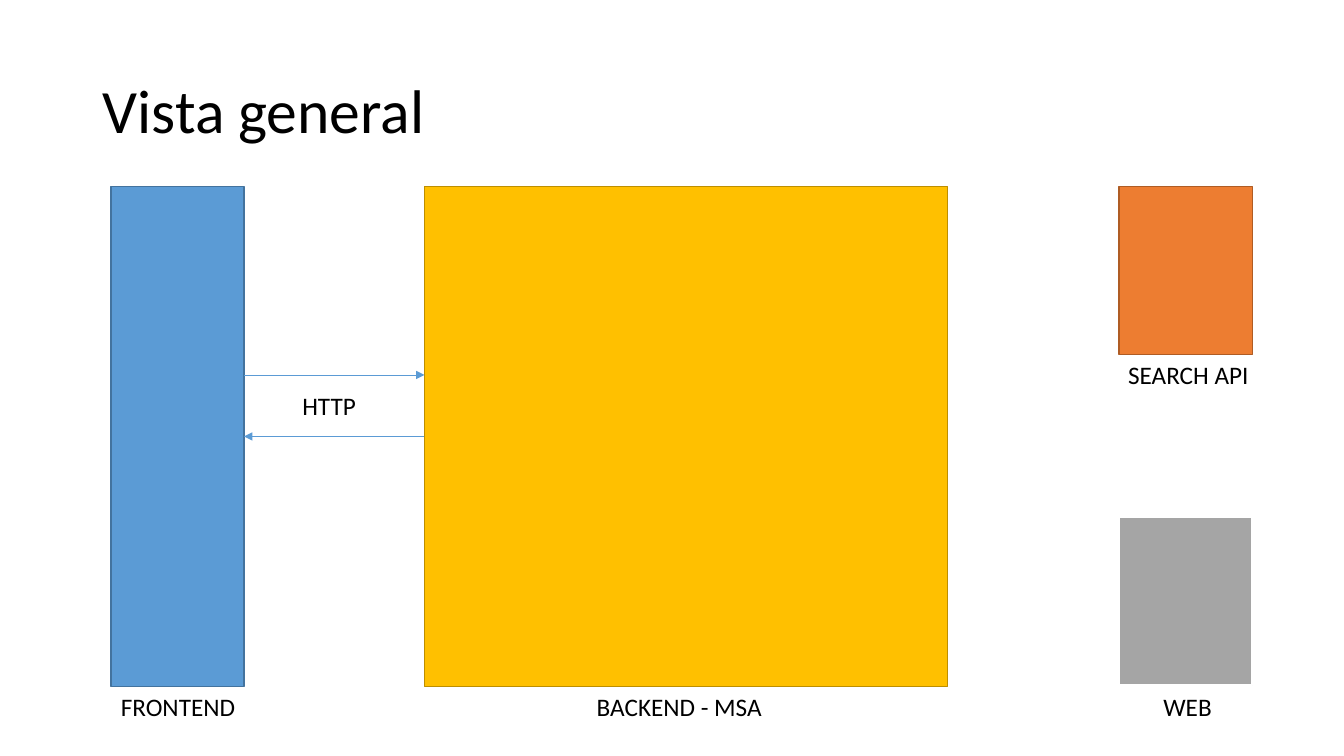
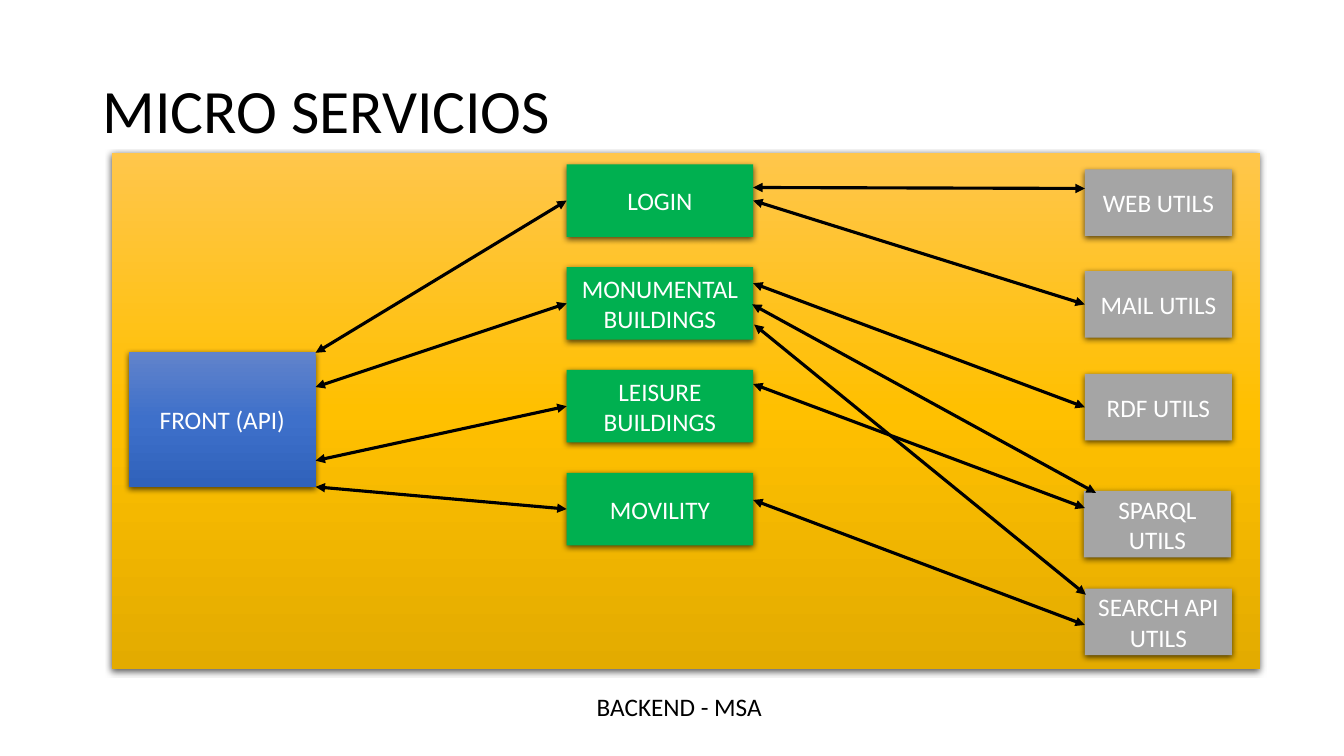
from copy import deepcopy

from lxml import etree
from pptx import Presentation
from pptx.dml.color import RGBColor
from pptx.enum import shapes, text
from pptx.oxml.ns import qn
from pptx.util import Inches, Pt

FONT = "Calibri"
BLACK = RGBColor(0x00, 0x00, 0x00)
WHITE = RGBColor(0xFF, 0xFF, 0xFF)
BLUE = RGBColor(0x5B, 0x9B, 0xD5)
DARK_BLUE = RGBColor(0x43, 0x73, 0x9E)
GOLD = RGBColor(0xFF, 0xC0, 0x00)
DARK_GOLD = RGBColor(0xBD, 0x8E, 0x00)
ORANGE = RGBColor(0xED, 0x7D, 0x31)
DARK_ORANGE = RGBColor(0xAF, 0x5C, 0x24)
GRAY = RGBColor(0xA5, 0xA5, 0xA5)
GREEN = RGBColor(0x00, 0xB0, 0x50)
GOLD_FADE = (RGBColor(0xFF, 0xC6, 0x4B), GOLD, RGBColor(0xE3, 0xAB, 0x00))
BLUE_FADE = (RGBColor(0x61, 0x83, 0xCB), RGBColor(0x3E, 0x70, 0xCA),
             RGBColor(0x30, 0x62, 0xBB))


def write(shape, content, size, color):
    """Fill a shape with one paragraph of styled text."""
    shape.text_frame.word_wrap = True
    paragraph = shape.text_frame.paragraphs[0]
    paragraph.text = content
    for run in paragraph.runs:
        run.font.name = FONT
        run.font.size = Pt(size)
        run.font.color.rgb = color
    return paragraph


def add_arrow(slide, start, end, color, width, ends):
    """Draw a straight line with a triangle at each of the named ends."""
    connector = slide.shapes.add_connector(
        shapes.MSO_CONNECTOR.STRAIGHT, *map(Inches, start + end))
    connector.line.color.rgb = color
    connector.line.width = Pt(width)
    properties = connector._element.spPr
    for name in ends:
        etree.SubElement(properties.find(qn("a:ln")), qn(name), type="triangle")
    etree.SubElement(properties, qn("a:effectLst"))


presentation = Presentation()
presentation.slide_width = Inches(13.33)
presentation.slide_height = Inches(7.5)
blank = presentation.slide_layouts[6]
overview = presentation.slides.add_slide(blank)
services = presentation.slides.add_slide(blank)

# Titles and the backend caption shared by both slides
captions = [
    (overview, "FRONTEND", 1.1, 6.81, 1.42),
    (overview, "SEARCH API", 11.09, 3.52, 1.98),
    (overview, "WEB", 11.44, 6.81, 0.84),
    (overview, "HTTP", 2.9, 3.82, 0.84),
]
for slide, heading in ((overview, "Vista general"), (services, "MICRO SERVICIOS")):
    title = slide.shapes.add_textbox(
        Inches(0.92), Inches(0.4), Inches(11.5), Inches(1.45))
    title.text_frame.vertical_anchor = text.MSO_ANCHOR.MIDDLE
    write(title, heading, 44, BLACK).line_spacing = 0.9
    captions.append((slide, "BACKEND - MSA", 5.82, 6.81, 1.98))

for slide, content, left, top, width in captions:
    caption = slide.shapes.add_textbox(
        Inches(left), Inches(top), Inches(width), Inches(0.4))
    write(caption, content, 18, BLACK)

# Overview: system blocks and the HTTP exchange
for left, top, width, height, fill, outline, weight in (
    (1.1, 1.85, 1.32, 4.96, BLUE, DARK_BLUE, 1),
    (4.21, 1.85, 5.19, 4.96, GOLD, DARK_GOLD, 1),
    (11.1, 1.85, 1.32, 1.67, ORANGE, DARK_ORANGE, 1),
    (11.1, 5.13, 1.32, 1.67, GRAY, WHITE, 1.5),
):
    block = overview.shapes.add_shape(
        shapes.MSO_SHAPE.RECTANGLE,
        Inches(left), Inches(top), Inches(width), Inches(height))
    block.shadow.inherit = False
    block.fill.solid()
    block.fill.fore_color.rgb = fill
    block.line.color.rgb = outline
    block.line.width = Pt(weight)

add_arrow(overview, (2.42, 3.72), (4.21, 3.72), BLUE, 0.5, ["a:tailEnd"])
add_arrow(overview, (4.21, 4.33), (2.42, 4.33), BLUE, 0.5, ["a:tailEnd"])

# Micro services: panel, front, service column and utility column
SERVICE_TOP, SERVICE_PITCH, SERVICE_HEIGHT = 1.63, 1.02, 0.72
cards = [
    ("", 1.11, 1.52, 11.39, 5.12, GOLD_FADE),
    ("FRONT (API)", 1.28, 3.49, 1.85, 1.34, BLUE_FADE),
]
for row, name in enumerate(
        ("LOGIN", "MONUMENTAL BUILDINGS", "LEISURE BUILDINGS", "MOVILITY")):
    top = SERVICE_TOP + row * SERVICE_PITCH
    cards.append((name, 5.62, top, 1.85, SERVICE_HEIGHT, (GREEN,)))
for name, left, top in (
    ("WEB UTILS", 10.76, 1.68),
    ("MAIL UTILS", 10.76, 2.69),
    ("RDF UTILS", 10.76, 3.71),
    ("SPARQL UTILS", 10.75, 4.87),
    ("SEARCH API UTILS", 10.76, 5.84),
):
    cards.append((name, left, top, 1.46, 0.66, (GRAY,)))

for name, left, top, width, height, colors in cards:
    card = services.shapes.add_shape(
        shapes.MSO_SHAPE.RECTANGLE,
        Inches(left), Inches(top), Inches(width), Inches(height))
    card.line.fill.background()
    properties = card._element.spPr
    if len(colors) == 1:
        card.fill.solid()
        card.fill.fore_color.rgb = colors[0]
    else:
        card.fill.gradient()
        card.fill.gradient_angle = 270
        stop_list = properties.find(qn("a:gradFill")).find(qn("a:gsLst"))
        stop_list.append(deepcopy(stop_list[0]))
        for stop, color, position in zip(card.fill.gradient_stops, colors, (0, 0.5, 1)):
            stop.color.rgb = color
            stop.position = position
    card.shadow.inherit = False
    shadow = etree.SubElement(
        properties.find(qn("a:effectLst")), qn("a:outerShdw"),
        blurRad=str(Pt(4.5)), dist=str(Pt(1.5)), dir="5400000",
        algn="ctr", rotWithShape="0")
    shade = etree.SubElement(shadow, qn("a:srgbClr"), val=str(BLACK))
    etree.SubElement(shade, qn("a:alpha"), val="63000")
    if name:
        card.text_frame.vertical_anchor = text.MSO_ANCHOR.MIDDLE
        write(card, name, 18, WHITE).alignment = text.PP_ALIGN.CENTER

links = [
    ((7.47, 1.86), (10.76, 1.87)),
    ((7.47, 1.99), (10.76, 3.02)),
    ((7.47, 2.81), (10.76, 4.04)),
    ((7.47, 3.81), (10.76, 5.04)),
    ((7.47, 4.96), (10.76, 6.2)),
    ((7.46, 3.02), (10.87, 4.89)),
    ((7.48, 3.22), (10.77, 5.9)),
]
for row, front_y in enumerate((3.5, 3.84, 4.57, 4.83)):
    service_y = SERVICE_TOP + row * SERVICE_PITCH + SERVICE_HEIGHT / 2
    links.append(((3.13, front_y), (5.62, service_y)))
for start, end in links:
    add_arrow(services, start, end, BLACK, 2.25, ["a:headEnd", "a:tailEnd"])

presentation.save("out.pptx")
